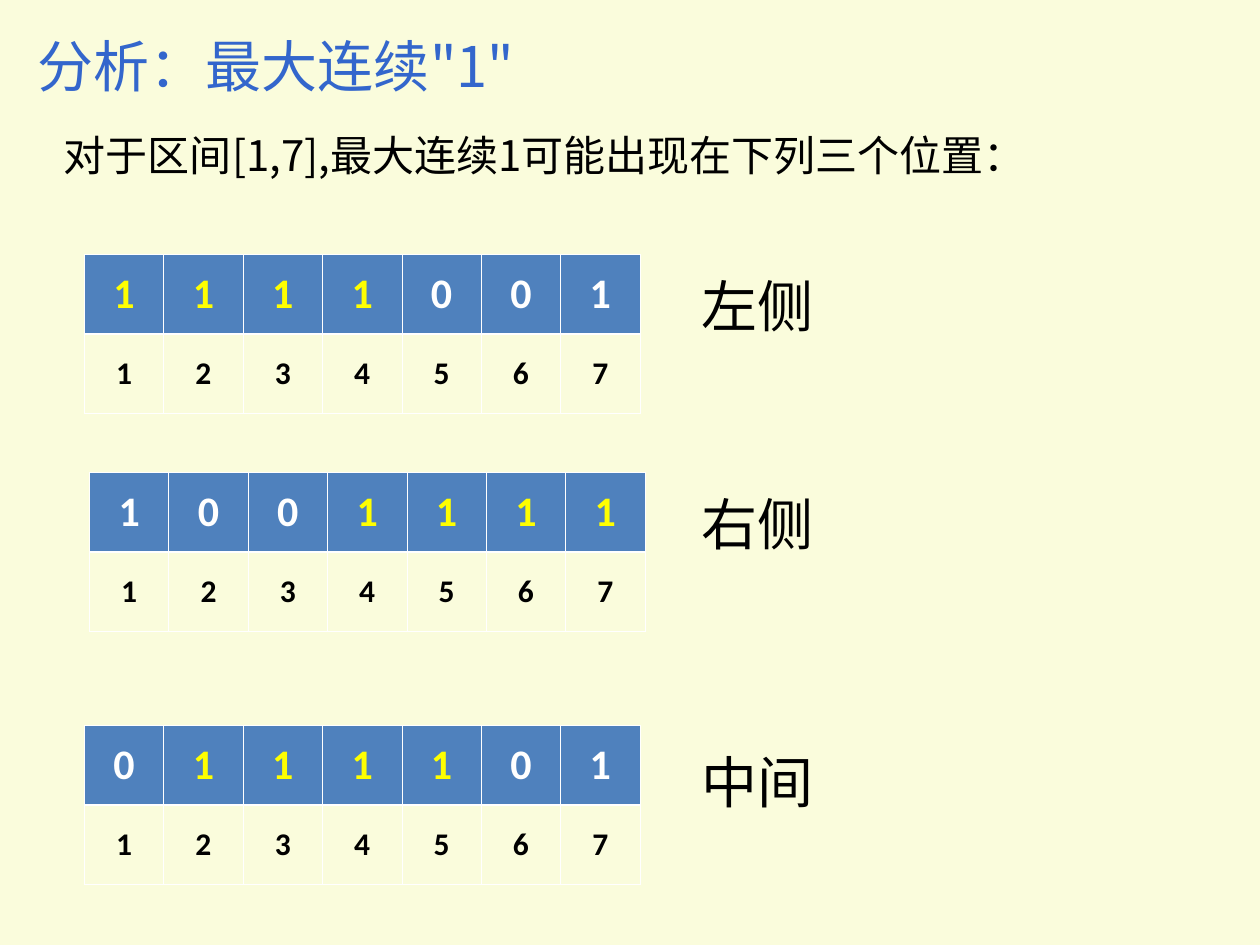
from dataclasses import dataclass

from lxml.etree import SubElement
from pptx import Presentation
from pptx.dml.color import RGBColor as Rgb
from pptx.enum.text import MSO_ANCHOR as Anchor, MSO_AUTO_SIZE as AutoSize, PP_ALIGN as Align
from pptx.oxml import parse_xml
from pptx.oxml.ns import nsdecls, qn
from pptx.util import Inches, Pt


@dataclass(frozen=True)
class Theme:
    """Colours, fonts and type sizes of the slide."""
    background: str = "FAFCDC"
    title: str = "3366CC"
    text: str = "000000"
    bit_fill: str = "4F81BD"
    bit: str = "FFFFFF"
    longest_run: str = "FFFF00"
    border: str = "FFFFFF"
    cjk_font: str = "Noto Sans CJK SC"
    label_font: str = "TeX Gyre Pagella"
    table_font: str = "Calibri"
    heading_size: int = 32
    body_size: int = 24
    index_size: int = 18
    thin: float = 0.45
    thick: float = 1.47


THEME = Theme()
TABLE_WIDTH, ROW_HEIGHT = 4.41, 0.63
CASES = [
    ("1111001", "左侧", (0.67, 2.02), 2.1),
    ("1001111", "右侧", (0.71, 3.75), 3.83),
    ("0111101", "中间", (0.67, 5.76), 5.88),
]


def format_text(frame, text, size, color, font, bold=False):
    """Set one line of text with its Latin and East Asian fonts."""
    frame.text = text
    run = frame.paragraphs[0].runs[0]
    run.font.size, run.font.bold, run.font.name = Pt(size), bold, font
    run.font.color.rgb = Rgb.from_string(color)
    east_asian = SubElement(run.font._element, qn("a:ea"))
    east_asian.set("typeface", THEME.cjk_font)


def place_line(shape, box, text, size, color, font):
    """Fit a left-aligned line of text into the box."""
    shape.left, shape.top, shape.width, shape.height = map(Inches, box)
    frame = shape.text_frame
    frame.word_wrap, frame.auto_size = True, AutoSize.NONE
    frame.vertical_anchor = Anchor.MIDDLE
    format_text(frame, text, size, color, font)
    frame.paragraphs[0].alignment = Align.LEFT


def add_line(slide, box, text, size, font):
    """Add a text box holding one line."""
    place_line(slide.shapes.add_textbox(0, 0, 0, 0), box, text, size, THEME.text, font)


def set_borders(cell, top, bottom):
    """Draw the four cell borders, with the given top and bottom widths."""
    widths = {"lnL": THEME.thin, "lnR": THEME.thin, "lnT": top, "lnB": bottom}
    properties = cell._tc.get_or_add_tcPr()
    for position, (side, width) in enumerate(widths.items()):
        properties.insert(position, parse_xml(
            f'<a:{side} {nsdecls("a")} w="{Pt(width)}"><a:solidFill>'
            f'<a:srgbClr val="{THEME.border}"/></a:solidFill></a:{side}>'))


def fill_cell(cell, text, size, color):
    """Write a centred bold digit."""
    cell.vertical_anchor = Anchor.MIDDLE
    format_text(cell.text_frame, text, size, color, THEME.table_font, bold=True)
    cell.text_frame.paragraphs[0].alignment = Align.CENTER


def add_bit_table(slide, box, bits):
    """Show bits over their indices, with the longest run of ones highlighted."""
    table = slide.shapes.add_table(2, len(bits), *map(Inches, box)).table
    table.first_row = table.horz_banding = False
    longest = max(bits.split("0"), key=len)
    start = bits.index(longest)
    for column, bit in enumerate(bits):
        bit_cell, index_cell = table.cell(0, column), table.cell(1, column)
        in_run = start <= column < start + len(longest)
        fill_cell(bit_cell, bit, THEME.body_size, THEME.longest_run if in_run else THEME.bit)
        bit_cell.fill.solid()
        bit_cell.fill.fore_color.rgb = Rgb.from_string(THEME.bit_fill)
        set_borders(bit_cell, THEME.thin, THEME.thick)
        fill_cell(index_cell, str(column + 1), THEME.index_size, THEME.text)
        index_cell.fill.background()
        set_borders(index_cell, THEME.thick, THEME.thin)


def build_slide(presentation):
    """Build the analysis slide with its three cases."""
    slide = presentation.slides.add_slide(presentation.slide_layouts[5])
    slide.background.fill.solid()
    slide.background.fill.fore_color.rgb = Rgb.from_string(THEME.background)
    place_line(slide.shapes.title, (0.2, 0.2, 4.65, 0.64), '分析：最大连续"1"',
               THEME.heading_size, THEME.title, THEME.cjk_font)
    add_line(slide, (0.41, 0.98, 8.76, 0.5), "对于区间[1,7],最大连续1可能出现在下列三个位置：",
             THEME.body_size, THEME.cjk_font)
    for bits, label, corner, label_top in CASES:
        add_bit_table(slide, (*corner, TABLE_WIDTH, 2 * ROW_HEIGHT), bits)
        add_line(slide, (5.47, label_top, 4.41, 0.64), label,
                 THEME.heading_size, THEME.label_font)


def main():
    """Create and save the presentation."""
    presentation = Presentation()
    presentation.slide_width, presentation.slide_height = Inches(10), Inches(7.5)
    build_slide(presentation)
    presentation.save("out.pptx")


if __name__ == "__main__":
    main()
